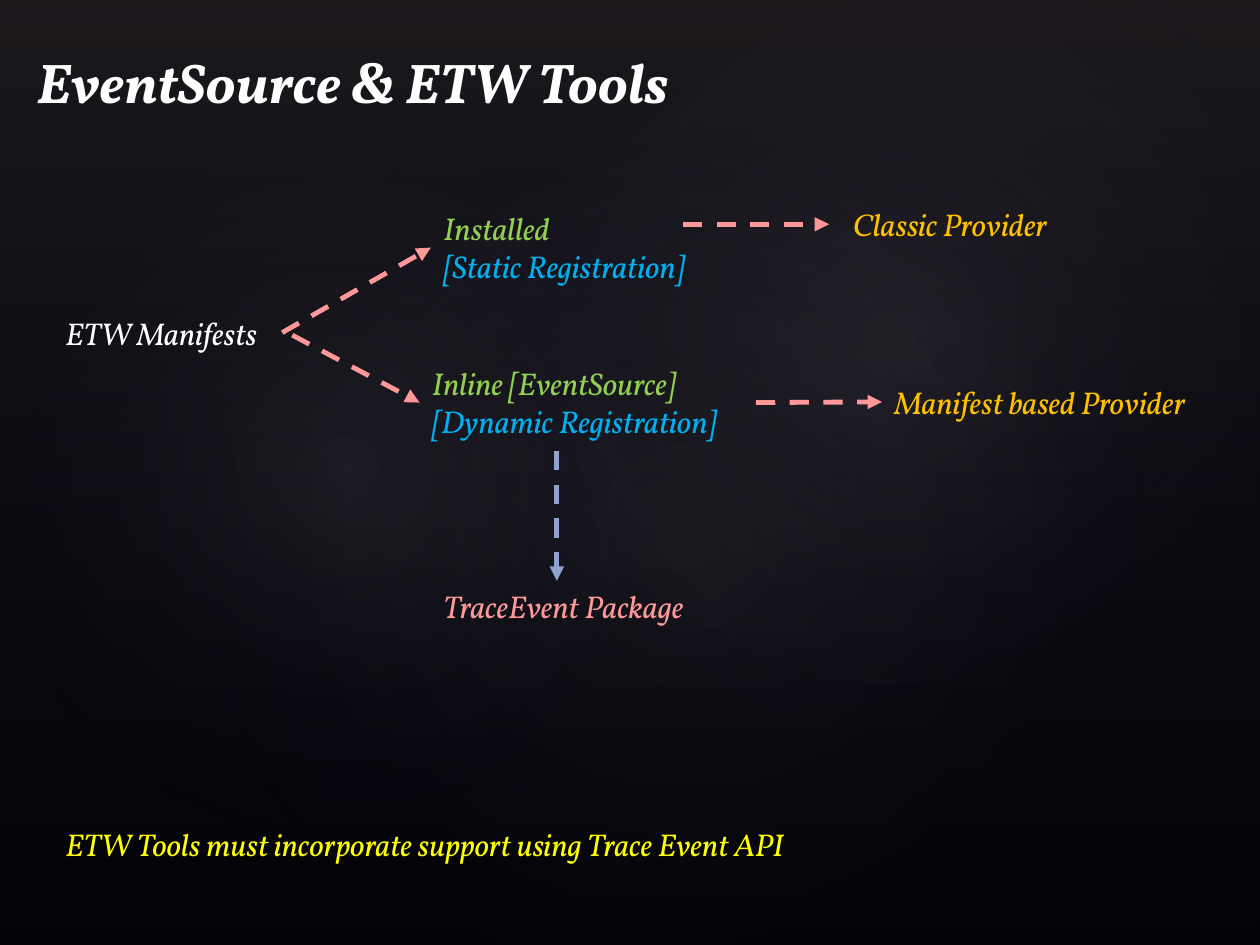
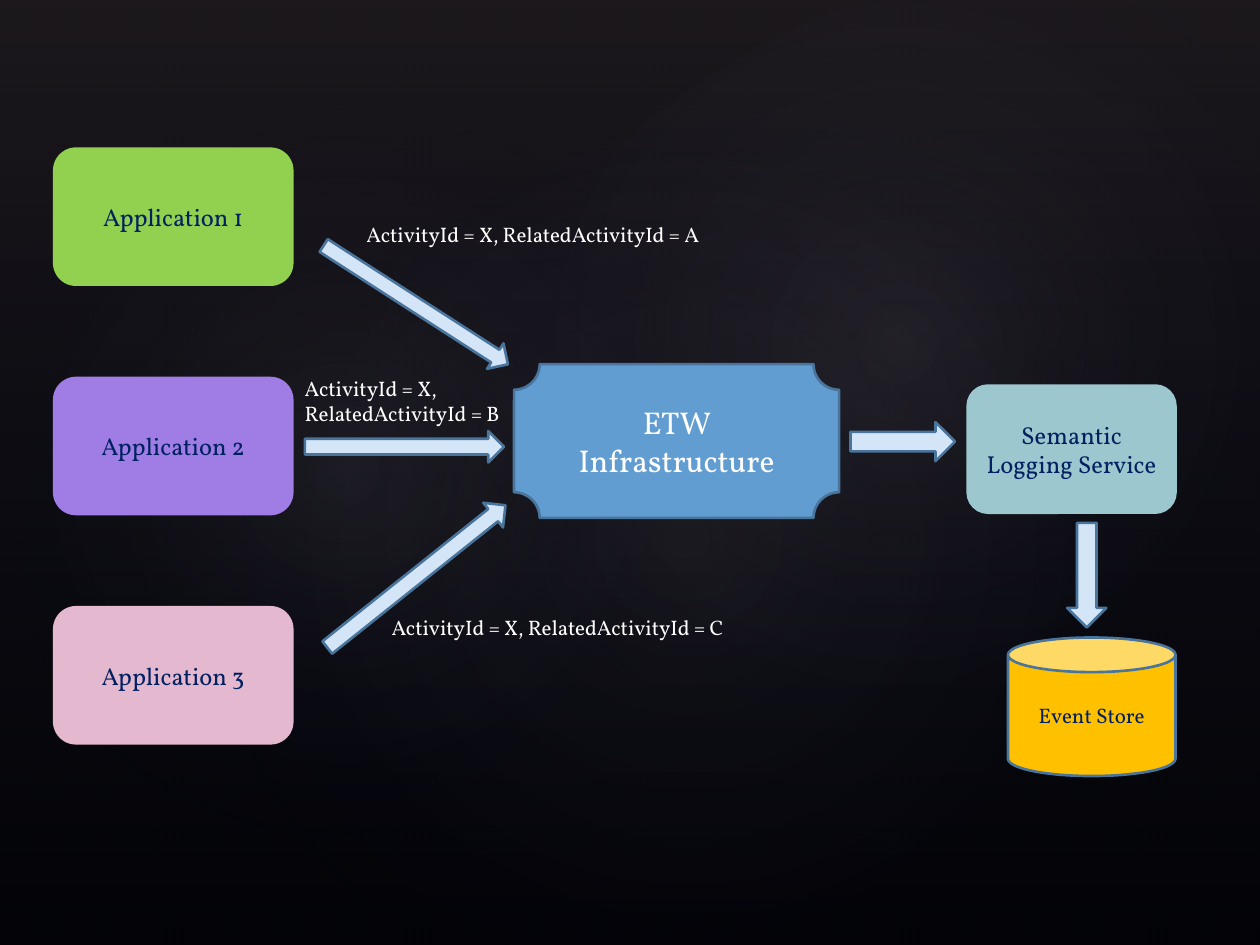
import lxml.etree
import pptx
import pptx.dml.color
import pptx.enum.dml
import pptx.enum.shapes
import pptx.enum.text
import pptx.oxml.ns
import pptx.util

Inches = pptx.util.Inches
SHAPE = pptx.enum.shapes.MSO_SHAPE
ALIGN = pptx.enum.text.PP_ALIGN
ANCHOR = pptx.enum.text.MSO_ANCHOR
AUTO_SIZE = pptx.enum.text.MSO_AUTO_SIZE
qn = pptx.oxml.ns.qn

FONT = "Vollkorn"
COLORS = {
    "background": "000000", "band": "504652", "shade": "242852", "glow": "C4BCC6",
    "white": "FFFFFF", "navy": "002060", "yellow": "FFFF00", "gold": "FFC000",
    "green": "92D050", "sky": "00B0F0", "salmon": "FF9999", "periwinkle": "90A2CF",
    "purple": "A07DE5", "pink": "E4B8CF", "teal": "9CC7CE",
    "blue": "629DD1", "outline": "49749B", "arrow": "D4E5F7",
}


def rgb(name):
    return pptx.dml.color.RGBColor.from_string(COLORS[name])


def write(frame, text, colors=("white",), size=18, bold=False, italic=False,
          align=ALIGN.LEFT):
    """Write one paragraph per line of text; the last color serves any further lines."""
    for index, line in enumerate(text.split("\n")):
        paragraph = frame.paragraphs[0] if index == 0 else frame.add_paragraph()
        paragraph.alignment = align
        paragraph.space_before = pptx.util.Pt(0)
        run = paragraph.add_run()
        run.text = line
        run.font.name = FONT
        run.font.size = pptx.util.Pt(size)
        run.font.bold = bold
        run.font.italic = italic
        run.font.color.rgb = rgb(colors[min(index, len(colors) - 1)])


def fade(shape, stops, circular=False):
    """Fill with a gradient; each stop is (percent, color name, opacity percent)."""
    shape.fill.background()
    properties = shape.element.spPr
    gradient = lxml.etree.Element(qn("a:gradFill"), rotWithShape="1")
    stop_list = lxml.etree.SubElement(gradient, qn("a:gsLst"))
    for position, name, opacity in stops:
        stop = lxml.etree.SubElement(stop_list, qn("a:gs"), pos=str(position * 1000))
        color = lxml.etree.SubElement(stop, qn("a:srgbClr"), val=COLORS[name])
        lxml.etree.SubElement(color, qn("a:alpha"), val=str(opacity * 1000))
    if circular:
        center = lxml.etree.SubElement(gradient, qn("a:path"), path="circle")
        lxml.etree.SubElement(center, qn("a:fillToRect"),
                              {side: "50000" for side in "ltrb"})
    else:
        lxml.etree.SubElement(gradient, qn("a:lin"), ang="5400000", scaled="0")
    properties.replace(properties.find(qn("a:noFill")), gradient)


class Deck:
    """Holds the presentation, its style and the current slide."""

    def __init__(self):
        self.presentation = pptx.Presentation()
        self.presentation.slide_width = Inches(10)
        self.presentation.slide_height = Inches(7.5)
        self.slide = None

    def add_slide(self, title=None):
        layout = self.presentation.slide_layouts[5 if title else 6]
        self.slide = self.presentation.slides.add_slide(layout)
        if title:
            self.title(title)

    def title(self, text):
        shape = self.slide.shapes.title
        shape.left, shape.top = Inches(0.19), Inches(0.33)
        shape.width, shape.height = Inches(8.83), Inches(0.67)
        frame = shape.text_frame
        frame.word_wrap = True
        frame.auto_size = AUTO_SIZE.NONE
        frame.vertical_anchor = ANCHOR.TOP
        write(frame, text, size=32, bold=True, italic=True)

    def shape(self, kind, left, top, width, height, fill=None, outline=None, rotation=0):
        shape = self.slide.shapes.add_shape(
            kind, Inches(left), Inches(top), Inches(width), Inches(height))
        shape.shadow.inherit = False
        shape.rotation = rotation
        if fill:
            shape.fill.solid()
            shape.fill.fore_color.rgb = rgb(fill)
        if outline:
            shape.line.color.rgb = rgb(outline)
            shape.line.width = pptx.util.Pt(1.5)
        else:
            shape.line.fill.background()
        return shape

    def backdrop(self):
        """Draw the dark gradient and its soft glows, then hand them to the master."""
        master = self.presentation.slide_master
        master.background.fill.solid()
        master.background.fill.fore_color.rgb = rgb("background")
        band = self.shape(SHAPE.RECTANGLE, 0, 0, 10, 7.5)
        fade(band, [(0, "band", 36), (100, "shade", 10)])
        layers = [band]
        for *box, rotation, opacity in [
            (1.5, 1.14, 7.92, 6.24, 328.7, 7),
            (-0.3, 1.28, 6.06, 4.9, 294.3, 8),
            (3.58, 0.13, 7.09, 5.2, 328.7, 8),
        ]:
            glow = self.shape(SHAPE.OVAL, *box, rotation=rotation)
            fade(glow, [(0, "glow", opacity), (58, "shade", 0)], circular=True)
            layers.append(glow)
        for index, layer in enumerate(layers):
            layer.element.nvSpPr.cNvPr.set("id", str(100 + index))
            master.shapes.element.insert(2 + index, layer.element)

    def box(self, kind, text, *place, fill, outline=None, color="navy", size=14):
        shape = self.shape(kind, *place, fill=fill, outline=outline)
        shape.text_frame.word_wrap = True
        shape.text_frame.vertical_anchor = ANCHOR.MIDDLE
        write(shape.text_frame, text, colors=(color,), size=size, align=ALIGN.CENTER)

    def block_arrow(self, *place, rotation=0):
        self.shape(SHAPE.RIGHT_ARROW, *place, fill="arrow", outline="outline",
                   rotation=rotation)

    def label(self, text, left, top, width, height, wrap=True, **text_format):
        shape = self.slide.shapes.add_textbox(
            Inches(left), Inches(top), Inches(width), Inches(height))
        shape.text_frame.word_wrap = wrap
        shape.text_frame.auto_size = AUTO_SIZE.SHAPE_TO_FIT_TEXT
        write(shape.text_frame, text, **text_format)
        return shape

    def dashed_arrow(self, start=(0, 0), end=(0, 0), color="salmon", source=None, target=None):
        """Run from source's right side to target's left side, or between two points."""
        connector = self.slide.shapes.add_connector(
            pptx.enum.shapes.MSO_CONNECTOR.STRAIGHT,
            *(Inches(value) for value in (*start, *end)))
        if source:
            connector.begin_connect(source, 3)
        if target:
            connector.end_connect(target, 1)
        connector.line.color.rgb = rgb(color)
        connector.line.width = pptx.util.Pt(2.75)
        connector.line.dash_style = pptx.enum.dml.MSO_LINE.DASH
        properties = connector.element.spPr
        lxml.etree.SubElement(properties.find(qn("a:ln")), qn("a:tailEnd"), type="triangle")
        lxml.etree.SubElement(properties, qn("a:effectLst"))


def build_tools_slide(deck):
    deck.add_slide("EventSource & ETW Tools")
    deck.backdrop()
    registration = {"colors": ("green", "sky"), "italic": True}
    provider = {"colors": ("gold",), "italic": True}

    manifests = deck.label("ETW Manifests", 0.42, 2.44, 1.82, 0.4, wrap=False, italic=True)
    installed = deck.label("Installed\n[Static Registration]",
                           3.42, 1.61, 2.83, 0.71, **registration)
    inline = deck.label("Inline [EventSource]\n[Dynamic Registration]",
                        3.33, 2.84, 2.67, 0.71, **registration)
    manifest_provider = deck.label("Manifest based Provider",
                                   7, 2.99, 2.67, 0.4, wrap=False, **provider)
    deck.label("Classic Provider", 6.67, 1.58, 1.96, 0.4, **provider)
    deck.label("TraceEvent Package", 3.42, 4.61, 2.23, 0.4, wrap=False,
               colors=("salmon",), italic=True)
    deck.label("ETW Tools must incorporate support using Trace Event API",
               0.42, 6.5, 6.38, 0.4, wrap=False, colors=("yellow",), italic=True)

    deck.dashed_arrow(source=manifests, target=installed)
    deck.dashed_arrow(start=(2.32, 2.66), target=inline)
    deck.dashed_arrow(source=inline, target=manifest_provider)
    deck.dashed_arrow((5.42, 1.78), (6.58, 1.78))
    deck.dashed_arrow((4.42, 3.58), (4.42, 4.61), color="periwinkle")


def build_infrastructure_slide(deck):
    deck.add_slide()
    for index, fill in enumerate(("green", "purple", "pink")):
        deck.box(SHAPE.ROUNDED_RECTANGLE, f"Application {index + 1}",
                 0.42, 1.17 + 1.82 * index, 1.91, 1.1, fill=fill)
    deck.box(SHAPE.PLAQUE, "ETW Infrastructure", 4.08, 2.89, 2.58, 1.22,
             fill="blue", outline="outline", color="white", size=18)
    deck.box(SHAPE.ROUNDED_RECTANGLE, "Semantic Logging Service",
             7.67, 3.05, 1.67, 1.03, fill="teal")
    deck.box(SHAPE.CAN, "Event Store", 8, 5.06, 1.33, 1.1,
             fill="gold", outline="outline", size=12)

    deck.block_arrow(2.43, 2.3, 1.74, 0.24, rotation=32.8)
    deck.block_arrow(2.42, 3.42, 1.58, 0.25)
    deck.block_arrow(2.4, 4.45, 1.81, 0.25, rotation=321.4)
    deck.block_arrow(6.75, 3.35, 0.83, 0.31)
    deck.block_arrow(8.21, 4.41, 0.83, 0.31, rotation=90)

    deck.label("ActivityId = X, RelatedActivityId = A", 2.81, 1.71, 3.12, 0.3, size=12)
    deck.label("ActivityId = X,\nRelatedActivityId = B", 2.32, 2.93, 1.86, 0.5, size=12)
    deck.label("ActivityId = X, RelatedActivityId = C", 3.01, 4.83, 2.92, 0.3, size=12)


def main():
    deck = Deck()
    build_tools_slide(deck)
    build_infrastructure_slide(deck)
    deck.presentation.save("out.pptx")


if __name__ == "__main__":
    main()
